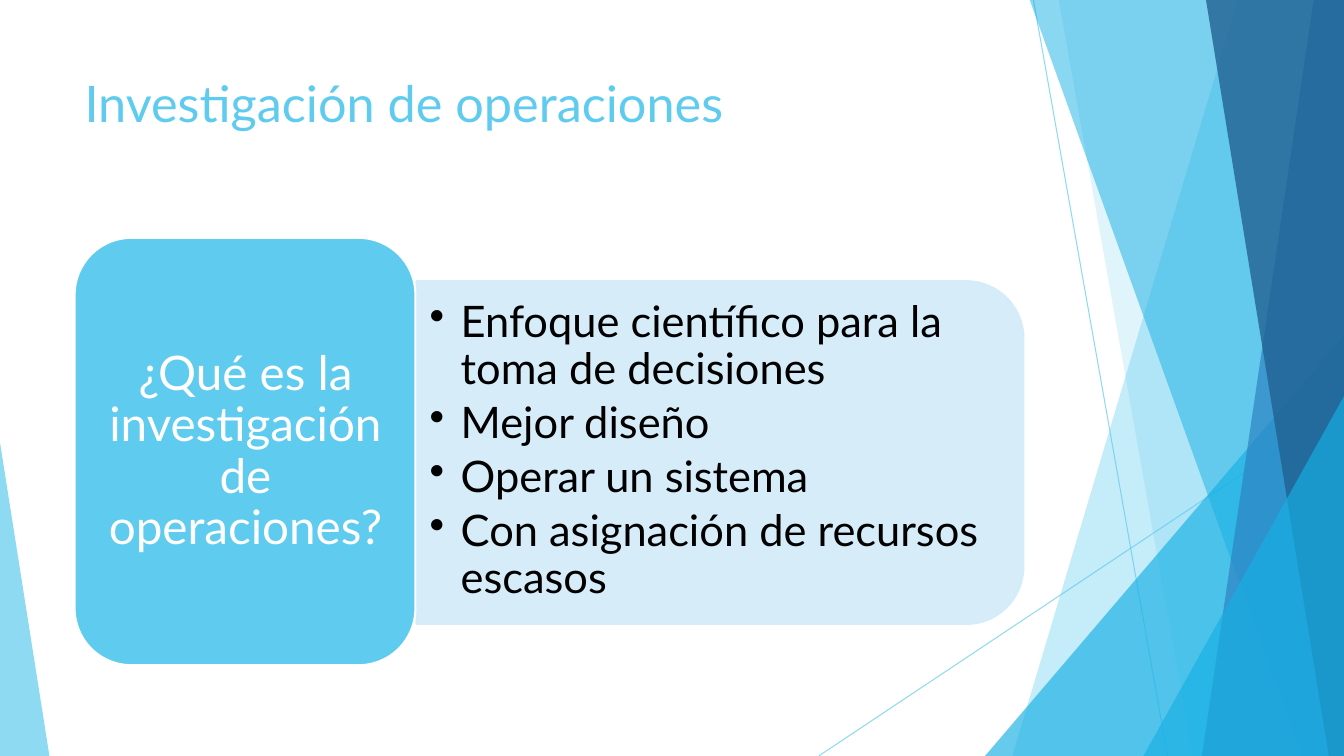
from lxml import etree
from pptx import Presentation
from pptx import util as u
from pptx.dml.color import RGBColor
from pptx.enum import shapes, text
from pptx.oxml import ns

PX = 9144
W, H = 1333, 750
SKY = RGBColor(0x5F, 0xCB, 0xEF)
CYAN = RGBColor(0x17, 0xB0, 0xE4)
BLUE = RGBColor(0x2E, 0x83, 0xC3)
NAVY = RGBColor(0x22, 0x62, 0x92)
PALE = RGBColor(0xD2, 0xEC, 0xF9)
WHITE = RGBColor(0xFF, 0xFF, 0xFF)
BLACK = RGBColor(0, 0, 0)
FONT = "Lato"


def px(n):
    return u.Emu(n * PX)


def set_alpha(fill, percent):
    clr = fill._xPr.find(".//" + ns.qn("a:srgbClr"))
    etree.SubElement(clr, ns.qn("a:alpha")).set("val", str(percent * 1000))


def add_text(tf, content, size=18, color=BLACK, align=text.PP_ALIGN.LEFT,
             spacing=1.0, after=0, bullet=None, indent=0):
    for i, line in enumerate(content.split("\n")):
        p = tf.paragraphs[0] if i == 0 else tf.add_paragraph()
        p.alignment = align
        p.line_spacing = spacing
        p.space_after = u.Pt(after)
        if bullet:
            pPr = p._p.get_or_add_pPr()
            pPr.set("marL", str(px(indent)))
            pPr.set("indent", str(-px(indent)))
            etree.SubElement(pPr, ns.qn("a:buChar")).set("char", bullet)
        r = p.add_run()
        r.text = line
        r.font.name = FONT
        r.font.size = u.Pt(size)
        r.font.color.rgb = color


class Deck:
    def __init__(self):
        self.prs = Presentation()
        self.prs.slide_width, self.prs.slide_height = px(W), px(H)
        self.slide = self.prs.slides.add_slide(self.prs.slide_layouts[6])

    def paint(self, sp, color, alpha=100, line=None):
        sp.shadow.inherit = False
        sp.fill.solid()
        sp.fill.fore_color.rgb = color
        set_alpha(sp.fill, alpha)
        if line is None:
            sp.line.fill.background()
        else:
            sp.line.color.rgb = line
            sp.line.width = u.Pt(1.5)
            set_alpha(sp.line.fill, alpha)
        return sp

    def shape(self, kind, x, y, w, h, color, alpha=100, line=None, adj=None):
        sp = self.slide.shapes.add_shape(kind, px(x), px(y), px(w), px(h))
        if adj is not None:
            sp.adjustments[0] = adj
        return self.paint(sp, color, alpha, line)

    def band(self, top, bottom, color, alpha):
        fb = self.slide.shapes.build_freeform(top, -1, scale=PX)
        fb.add_line_segments([(W, -1), (W, H), (bottom, H)], close=True)
        return self.paint(fb.convert_to_shape(), color, alpha)

    def triangle(self, x, y, w, color, alpha, apex):
        kind = shapes.MSO_SHAPE.ISOSCELES_TRIANGLE
        return self.shape(kind, x, y, w, H - y, color, alpha, adj=apex)

    def line(self, x1, y1, x2, y2, color, alpha):
        sp = self.slide.shapes.add_connector(
            shapes.MSO_CONNECTOR.STRAIGHT, px(x1), px(y1), px(x2), px(y2))
        sp.line.color.rgb = color
        sp.line.width = u.Pt(0.75)
        set_alpha(sp.line.fill, alpha)
        etree.SubElement(sp._element.spPr, ns.qn("a:effectLst"))

    def text(self, x, y, w, h, content, anchor=text.MSO_ANCHOR.MIDDLE,
             inset=(10, 5), **fmt):
        sp = self.slide.shapes.add_textbox(px(x), px(y), px(w), px(h))
        tf = sp.text_frame
        tf.word_wrap = True
        tf.vertical_anchor = anchor
        tf.margin_left = tf.margin_right = px(inset[0])
        tf.margin_top = tf.margin_bottom = px(inset[1])
        add_text(tf, content, **fmt)


def main():
    deck = Deck()
    deck.line(1025, 0, 1158, H, SKY, 70)
    deck.line(W, 403, 812, H, SKY, 70)
    deck.band(1228, 1004, SKY, 36)
    deck.band(1050, 1183, SKY, 20)
    deck.triangle(977, 333, 356, CYAN, 66, apex=1)
    deck.band(1021, 1291, CYAN, 50)
    deck.band(1303, 1192, BLUE, 70)
    deck.band(1196, 1318, NAVY, 80)
    deck.triangle(1134, 393, 199, CYAN, 66, apex=1)
    deck.triangle(0, 439, 49, SKY, 70, apex=0)

    deck.text(74, 67, 940, 144, "Investigación de operaciones",
              anchor=text.MSO_ANCHOR.TOP, size=36, color=SKY)

    panel = deck.shape(shapes.MSO_SHAPE.ROUND_2_SAME_RECTANGLE,
                       544, 148, 340, 602, PALE, 90, line=PALE)
    panel.rotation = 90
    answers = [
        "Enfoque científico para la toma de decisiones",
        "Mejor diseño",
        "Operar un sistema",
        "Con asignación de recursos escasos",
    ]
    deck.text(413, 295, 585, 306, "\n".join(answers), inset=(13, 6), size=31,
              spacing=0.9, after=5, bullet="•", indent=31)

    deck.shape(shapes.MSO_SHAPE.ROUNDED_RECTANGLE, 74, 236, 338, 424,
               SKY, line=WHITE)
    deck.text(91, 253, 305, 391, "¿Qué es la investigación de operaciones?",
              inset=(14, 7), size=34, color=WHITE,
              align=text.PP_ALIGN.CENTER, spacing=0.9, after=12)
    deck.prs.save("out.pptx")


if __name__ == "__main__":
    main()
